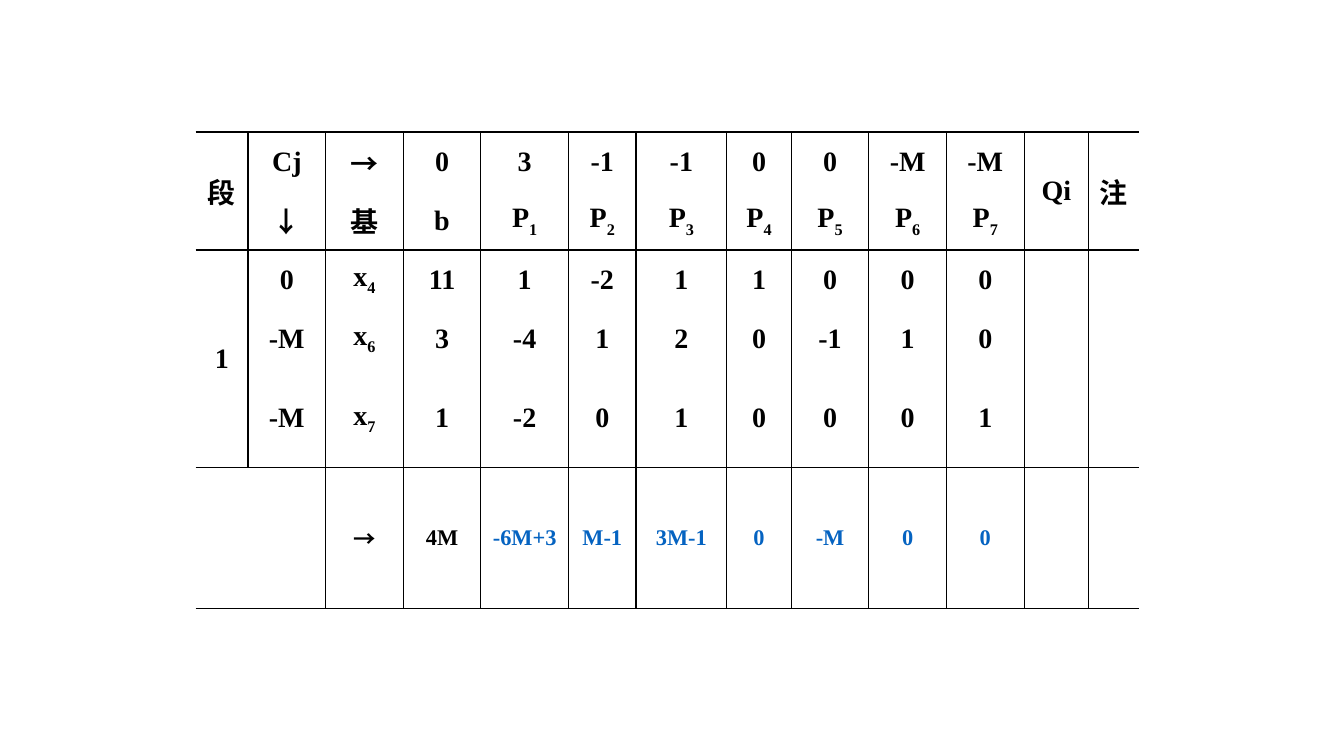
from pptx import Presentation
from pptx.dml.color import RGBColor
from pptx.enum.text import MSO_ANCHOR, PP_ALIGN
from pptx.oxml.ns import qn
from pptx.util import Inches, Pt
from lxml.etree import Element, SubElement

# Content: "_" starts a subscript, "" is an empty or merged cell
ROWS = [
    ["段", "Cj", "→", "0", "3", "-1", "-1", "0", "0", "-M", "-M", "Qi", "注"],
    ["", "↓", "基", "b", "P_1", "P_2", "P_3", "P_4", "P_5", "P_6", "P_7", "", ""],
    ["1", "0", "x_4", "11", "1", "-2", "1", "1", "0", "0", "0", "", ""],
    ["", "-M", "x_6", "3", "-4", "1", "2", "0", "-1", "1", "0", "", ""],
    ["", "-M", "x_7", "1", "-2", "0", "1", "0", "0", "0", "1", "", ""],
    ["", "", "→", "4M", "-6M+3", "M-1", "3M-1", "0", "-M", "0", "0", "", ""],
]
WIDTHS = [0.52, 0.77, 0.77, 0.77, 0.87, 0.67, 0.9, 0.64, 0.77, 0.77, 0.77, 0.64, 0.5]
HEIGHTS = [0.59, 0.58, 0.59, 0.58, 0.99, 1.4]
LEFT, TOP = 1.94, 1.31
MERGES = [((0, 0), (1, 0)), ((0, 11), (1, 11)), ((0, 12), (1, 12)),
          ((2, 0), (4, 0)), ((5, 0), (5, 1))]
RULES = {0, 2, 5, 6}  # row edges that carry a line

BLACK = RGBColor(0x00, 0x00, 0x00)
BLUE = RGBColor(0x05, 0x63, 0xC1)
LATIN, CJK = "Times New Roman", "Noto Sans CJK SC"
LAST = len(ROWS) - 1


def draw_edges(cell, row, col):
    """Rule the cell's sides; the table stays open at left and right."""
    sides = {"lnL": col > 0, "lnR": col < len(WIDTHS) - 1,
             "lnT": row in RULES, "lnB": row + 1 in RULES}
    props = cell._tc.get_or_add_tcPr()
    for spot, (side, shown) in enumerate(sides.items()):
        line = Element(qn("a:" + side), w=str(Pt(1)))
        if shown:
            fill = SubElement(line, qn("a:solidFill"))
            SubElement(fill, qn("a:srgbClr"), val=str(BLACK))
        else:
            SubElement(line, qn("a:noFill"))
        props.insert(spot, line)


def write(cell, text, row, col):
    """Put centred bold text in the cell, with any subscript."""
    para = cell.text_frame.paragraphs[0]
    para.alignment = PP_ALIGN.CENTER
    tint = BLUE if row == LAST and col > 3 else BLACK
    for sub, part in enumerate(text.split("_")):
        run = para.add_run()
        run.text = part
        name = LATIN if part.isascii() else CJK
        form = {"name": name, "size": Pt(16 if row == LAST else 20), "bold": True}
        for key, value in form.items():
            setattr(run.font, key, value)
        run.font.color.rgb = tint
        props = run._r.get_or_add_rPr()
        SubElement(props, qn("a:ea"), typeface=name)
        if sub:
            props.set("baseline", "-25000")


# Slide
deck = Presentation()
deck.slide_width, deck.slide_height = Inches(13.33), Inches(7.5)
slide = deck.slides.add_slide(deck.slide_layouts[6])

# Table grid
table = slide.shapes.add_table(
    len(HEIGHTS), len(WIDTHS), Inches(LEFT), Inches(TOP),
    Inches(sum(WIDTHS)), Inches(sum(HEIGHTS))).table
table.first_row = table.horz_banding = False
for column, width in zip(table.columns, WIDTHS):
    column.width = Inches(width)
for line, height in zip(table.rows, HEIGHTS):
    line.height = Inches(height)
for start, end in MERGES:
    table.cell(*start).merge(table.cell(*end))

# Cells
for row, texts in enumerate(ROWS):
    for col, text in enumerate(texts):
        cell = table.cell(row, col)
        cell.vertical_anchor = MSO_ANCHOR.MIDDLE
        cell.fill.background()
        draw_edges(cell, row, col)
        if text:
            write(cell, text, row, col)

deck.save("out.pptx")
